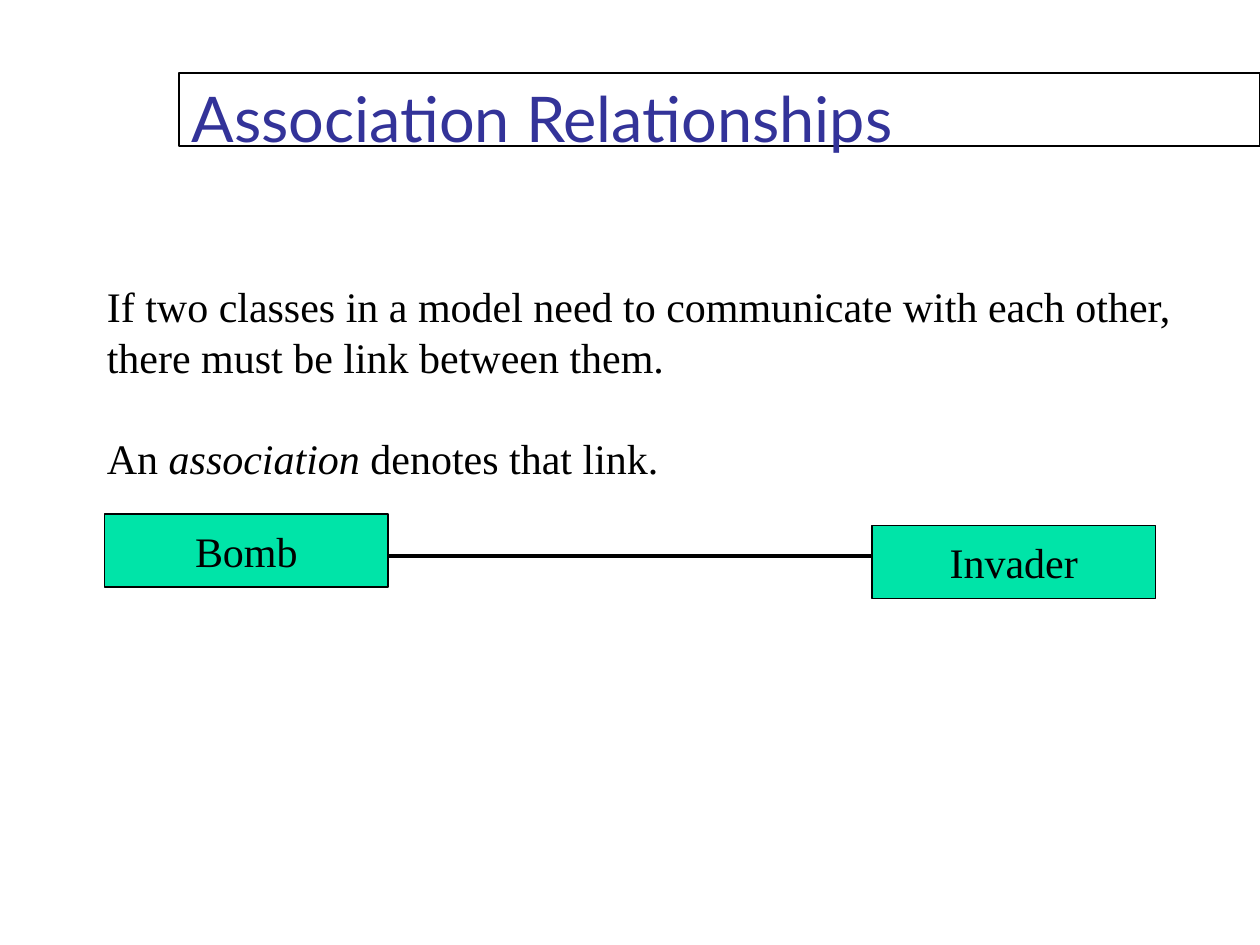
from dataclasses import dataclass

from lxml.etree import SubElement
from pptx import Presentation
from pptx.dml.color import RGBColor
from pptx.enum.shapes import MSO_CONNECTOR, MSO_SHAPE
from pptx.enum.text import MSO_ANCHOR, MSO_AUTO_SIZE, PP_ALIGN
from pptx.oxml.ns import qn
from pptx.util import Inches, Pt


@dataclass(frozen=True)
class Theme:
    title_font: str = "Lato"
    body_font: str = "Times New Roman"
    title_size: Pt = Pt(36)
    body_size: Pt = Pt(24)
    paragraph_gap: Pt = Pt(28.8)
    outline_width: Pt = Pt(0.75)
    link_width: Pt = Pt(2.25)
    title_color: RGBColor = RGBColor(0x33, 0x33, 0x99)
    ink: RGBColor = RGBColor(0, 0, 0)
    paper: RGBColor = RGBColor(0xFF, 0xFF, 0xFF)
    class_fill: RGBColor = RGBColor(0x00, 0xE4, 0xA8)


THEME = Theme()


def inches(*lengths):
    return tuple(Inches(length) for length in lengths)


def style_span(span, font, size, color):
    span.font.name = font
    span.font.size = size
    span.font.color.rgb = color


def style_body(span):
    style_span(span, THEME.body_font, THEME.body_size, THEME.ink)


def paint(shape, fill):
    shape.fill.solid()
    shape.fill.fore_color.rgb = fill
    shape.line.color.rgb = THEME.ink
    shape.line.width = THEME.outline_width


def place_title(page, box, text):
    title = page.shapes.title
    title.left, title.top, title.width, title.height = box
    paint(title, THEME.paper)
    frame = title.text_frame
    frame.text = text
    frame.auto_size = MSO_AUTO_SIZE.NONE
    frame.vertical_anchor = MSO_ANCHOR.TOP
    para = frame.paragraphs[0]
    para.alignment = PP_ALIGN.LEFT
    style_span(para.runs[0], THEME.title_font, THEME.title_size, THEME.title_color)


def add_explanation(page, box):
    frame = page.shapes.add_textbox(*box).text_frame
    frame.word_wrap = True
    frame.text = (
        "If two classes in a model need to communicate with each other, "
        "there must be link between them."
    )
    style_body(frame.paragraphs[0].runs[0])
    para = frame.add_paragraph()
    para.space_before = THEME.paragraph_gap
    for text, italic in (("An ", False), ("association", True), (" denotes that link.", False)):
        span = para.add_run()
        span.text = text
        span.font.italic = italic
        style_body(span)


def add_class(page, box, name):
    shape = page.shapes.add_shape(MSO_SHAPE.RECTANGLE, *box)
    shape.shadow.inherit = False
    paint(shape, THEME.class_fill)
    frame = shape.text_frame
    frame.text = name
    frame.word_wrap = False
    frame.vertical_anchor = MSO_ANCHOR.MIDDLE
    para = frame.paragraphs[0]
    para.alignment = PP_ALIGN.CENTER
    style_body(para.runs[0])


def add_association(page, box):
    left, top, width, height = box
    class_width, class_height, overlap = inches(2.25, 0.58, 0.08)
    link_y = top + height // 2
    right_class = left + width - class_width
    link = page.shapes.add_connector(
        MSO_CONNECTOR.STRAIGHT,
        left + class_width - overlap, link_y, right_class + overlap, link_y,
    )
    link.line.color.rgb = THEME.ink
    link.line.width = THEME.link_width
    SubElement(link._element.spPr, qn("a:effectLst"))
    lower_top = top + height - class_height
    add_class(page, (right_class, lower_top, class_width, class_height), "Invader")
    add_class(page, (left, top, class_width, class_height), "Bomb")


def main():
    deck = Presentation()
    deck.slide_width, deck.slide_height = inches(10, 7.5)
    page = deck.slides.add_slide(deck.slide_layouts[5])
    place_title(page, inches(1.42, 0.58, 8.58, 0.58), "Association Relationships")
    add_explanation(page, inches(0.75, 2.18, 8.87, 1.7))
    add_association(page, inches(0.83, 4.08, 8.34, 0.67))
    deck.save("out.pptx")


if __name__ == "__main__":
    main()
